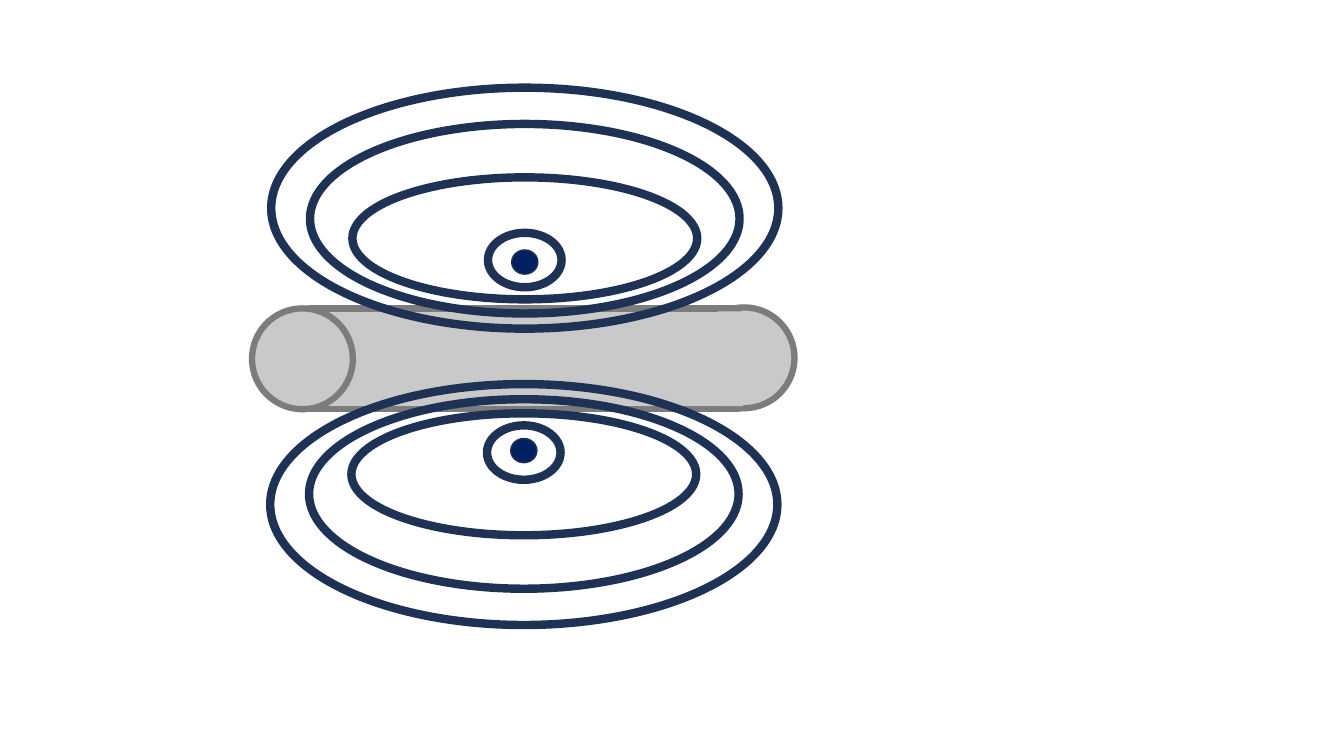
import pptx
import pptx.dml.color
import pptx.enum.shapes
import pptx.util

Inches = pptx.util.Inches
Pt = pptx.util.Pt
RGBColor = pptx.dml.color.RGBColor
MSO_SHAPE = pptx.enum.shapes.MSO_SHAPE

CYLINDER_FILL = RGBColor(0xC9, 0xC9, 0xC9)
CYLINDER_LINE = RGBColor(0x7C, 0x7C, 0x7C)
FIELD_LINE = RGBColor(0x1E, 0x32, 0x56)
CORE_FILL = RGBColor(0x00, 0x20, 0x60)

FIELD_WIDTH, FIELD_HEIGHT = 5.03, 2.39
FIELD_RINGS = [
    (0, FIELD_WIDTH, FIELD_HEIGHT, None, 6),
    (0.36, 4.26, 1.88, None, 6),
    (0.89, 3.42, 1.21, None, 6),
    (1.61, 0.26, 0.24, CORE_FILL, 1),
    (1.44, 0.73, 0.54, None, 6),
]


def add_outline(shapes, kind, box, fill, line, weight):
    """Add a preset shape in box; None leaves out the fill or the line."""
    shape = shapes.add_shape(kind, *[Inches(length) for length in box])
    shape.shadow.inherit = False
    if fill is None:
        shape.fill.background()
    else:
        shape.fill.solid()
        shape.fill.fore_color.rgb = fill
    if line is None:
        shape.line.fill.background()
    else:
        shape.line.color.rgb = line
        shape.line.width = Pt(weight)
    return shape


def add_cylinder(slide, left, top, width, diameter):
    """Draw a lying cylinder with its open end on the left."""
    right_end = left + width - diameter
    parts = [
        (MSO_SHAPE.OVAL, (right_end, top - 0.01, diameter, diameter), CYLINDER_LINE),
        (MSO_SHAPE.RECTANGLE, (left + 0.57, top, 4.26, diameter), CYLINDER_LINE),
        (MSO_SHAPE.OVAL, (left, top, diameter, diameter), CYLINDER_LINE),
        (MSO_SHAPE.RECTANGLE, (right_end + 0.24, top + 0.03, 0.25, diameter - 0.06), None),
    ]
    for kind, box, line in parts:
        add_outline(slide.shapes, kind, box, CYLINDER_FILL, line, 4.5)


def add_field(slide, left, top, rotation=0):
    """Draw a group of field rings centred on one vertical axis."""
    group = slide.shapes.add_group_shape()
    for offset, width, height, fill, weight in FIELD_RINGS:
        box = (left + (FIELD_WIDTH - width) / 2, top + offset, width, height)
        add_outline(group.shapes, MSO_SHAPE.OVAL, box, fill, FIELD_LINE, weight)
    group.rotation = rotation


def main():
    """Build the slide and save it."""
    presentation = pptx.Presentation()
    presentation.slide_width = Inches(13.33)
    presentation.slide_height = Inches(7.5)
    slide = presentation.slides.add_slide(presentation.slide_layouts[6])
    add_cylinder(slide, 2.5, 3.06, 5.38, 1)
    add_field(slide, 2.69, 0.87)
    add_field(slide, 2.68, 3.81, rotation=180)
    presentation.save("out.pptx")


if __name__ == "__main__":
    main()
